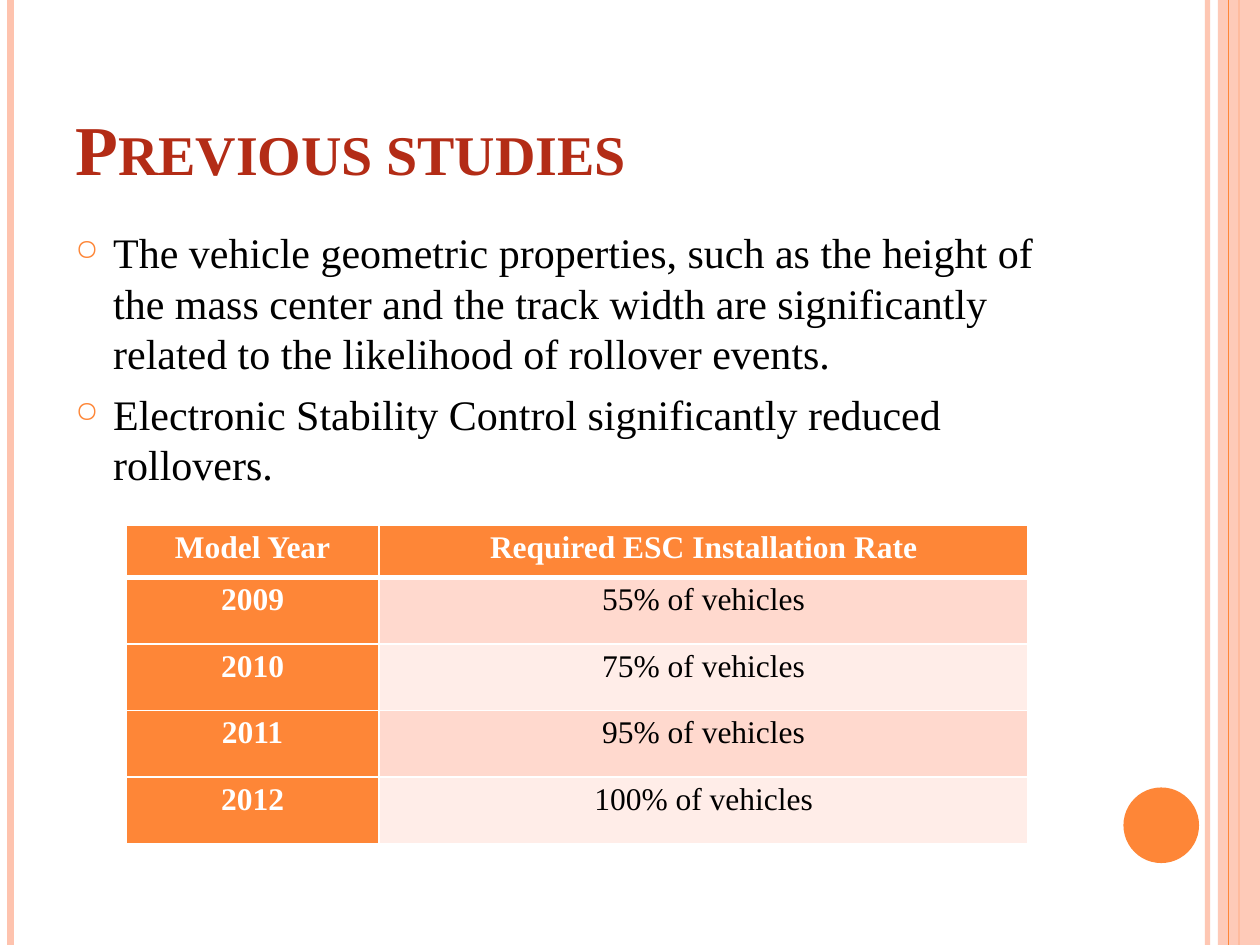
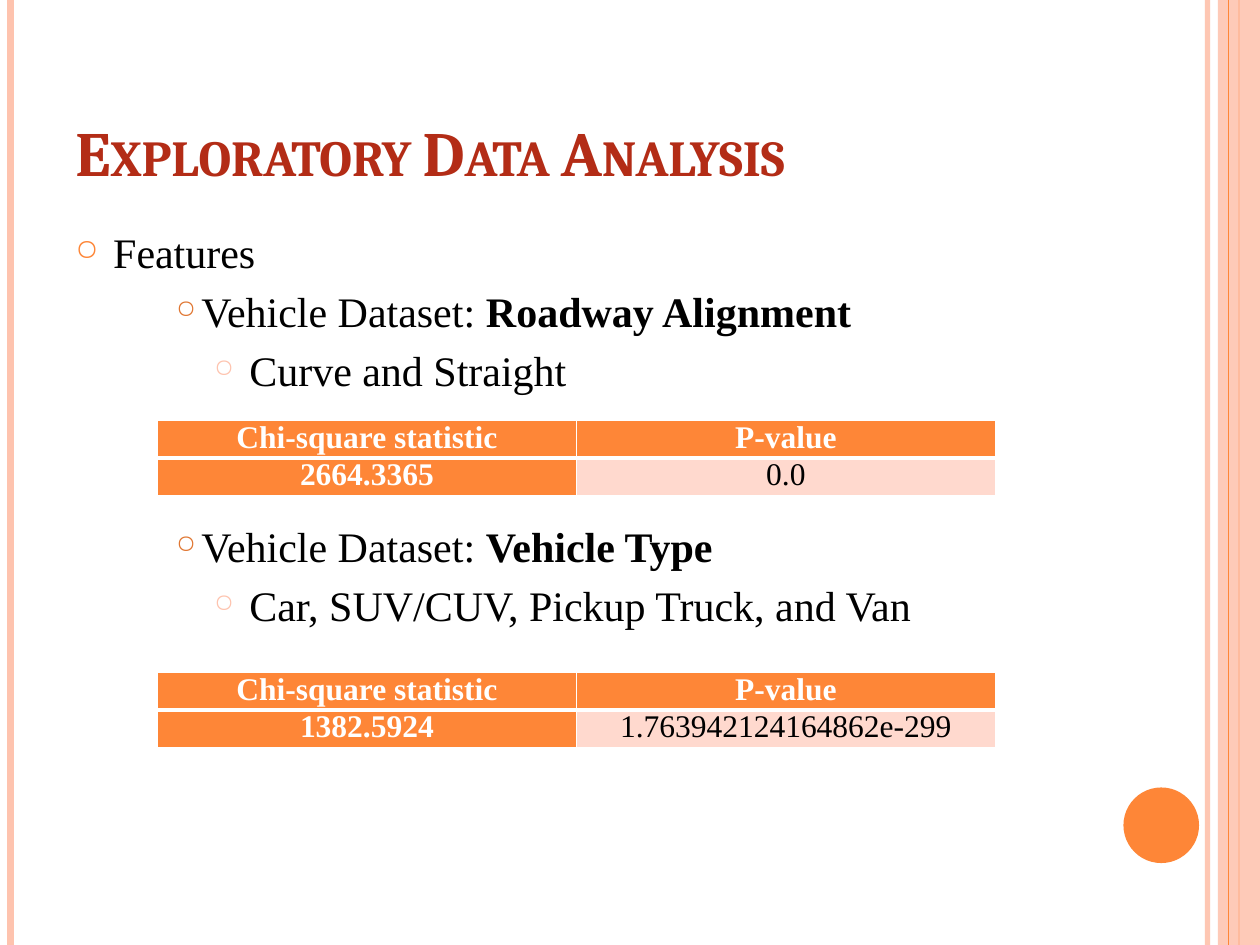
from dataclasses import dataclass

from lxml import etree
from pptx import Presentation
from pptx import util as u
from pptx.dml.color import RGBColor
from pptx.enum import shapes, text
from pptx.oxml import ns

# Shared look
ORANGE, PEACH, RUST, DEEP_ORANGE = "FE8637", "FEC3AE", "B32C16", "E07631"
WHITE, BLACK = "FFFFFF", "000000"
BANDS = ("FFD9CE", "FFEDE8")
SERIF, CAMBRIA = "Times New Roman", "Cambria"

# Grid: 120 columns by 90 rows, twelve cells to the inch
SLIDE_WIDTH, SLIDE_HEIGHT = u.Inches(10), u.Inches(7.5)
COLUMNS, ROWS = 120, 90
BODY_SIZE = 24
LINE_PITCH = 28.8


@dataclass(frozen=True)
class Stripe:
    column: float
    color: str
    width: float
    opacity: int = 100


@dataclass(frozen=True)
class Level:
    indent: float
    hanging: float
    space_before: float
    bullet_color: str
    bullet_size: int


@dataclass(frozen=True)
class Point:
    level: int
    words: str
    strong: str = ""
    gap: float = 0


@dataclass(frozen=True)
class Grid:
    column: float
    row: float
    widths: tuple[float, ...]
    heights: tuple[float, ...]
    cells: tuple[tuple[str, ...], ...]
    line_spacing: float = 1.0


@dataclass(frozen=True)
class Page:
    title: str
    title_font: str
    title_size: int
    points: tuple[Point, ...]
    tables: tuple[Grid, ...]


LEFT_STRIPES = (Stripe(115, PEACH, 3, 93), Stripe(1, PEACH, 4.5), Stripe(118, ORANGE, 1.5))
TOP_STRIPE = Stripe(117, ORANGE, 0.75)
LEVELS = (
    Level(0.3, 0.3, 6, ORANGE, 70),
    Level(1, 0.2, 4.8, DEEP_ORANGE, 60),
    Level(1.38, 0.28, 4.8, PEACH, 60),
)
# Room for a table between two points: two lines of level three
TABLE_GAP = 2 * (LINE_PITCH + LEVELS[2].space_before)


def chi_square_table(row: float, statistic: str, p_value: str) -> Grid:
    return Grid(15, row, (39.9, 39.9), (3.36, 3.36),
                (("Chi-square statistic", "P-value"), (statistic, p_value)))


PAGES = (
    Page(
        "Previous studies", SERIF, 40,
        (
            Point(0, "The vehicle geometric properties, such as the height of the mass center "
                     "and the track width are significantly related to the likelihood of "
                     "rollover events."),
            Point(0, "Electronic Stability Control significantly reduced rollovers."),
        ),
        (
            Grid(12, 50, (24.12, 61.8), (5,) + (6.34,) * 4,
                 (("Model Year", "Required ESC Installation Rate"),
                  ("2009", "55% of vehicles"),
                  ("2010", "75% of vehicles"),
                  ("2011", "95% of vehicles"),
                  ("2012", "100% of vehicles")), 1.15),
        ),
    ),
    Page(
        "Exploratory Data Analysis", CAMBRIA, 36,
        (
            Point(0, "Features"),
            Point(1, "Vehicle Dataset: ", "Roadway Alignment"),
            Point(2, "Curve and Straight"),
            Point(1, "Vehicle Dataset: ", "Vehicle Type", TABLE_GAP),
            Point(2, "Car, SUV/CUV, Pickup Truck, and Van"),
        ),
        (
            chi_square_table(40, "2664.3365", "0.0"),
            chi_square_table(64, "1382.5924", "1.763942124164862e-299"),
        ),
    ),
)


# Helpers
def x(columns: float) -> int:
    return round(SLIDE_WIDTH * columns / COLUMNS)


def y(rows: float) -> int:
    return round(SLIDE_HEIGHT * rows / ROWS)


def rgb(color: str) -> RGBColor:
    return RGBColor.from_string(color)


def add_xml(parent, tag: str, **attributes):
    return etree.SubElement(parent, ns.qn(tag), attributes)


def set_opacity(part, percent: int) -> None:
    if percent < 100:
        for color in part._element.spPr.iter(ns.qn("a:srgbClr")):
            add_xml(color, "a:alpha", val=str(percent * 1000))


def set_font(paragraph, name: str, size: float, color: str, bold: bool = False) -> None:
    font = paragraph.font
    font.name, font.size, font.bold = name, u.Pt(size), bold
    font.color.rgb = rgb(color)


# Decoration
def draw_stripe(slide, stripe: Stripe) -> None:
    line = slide.shapes.add_connector(
        shapes.MSO_CONNECTOR.STRAIGHT, x(stripe.column), 0, x(stripe.column), SLIDE_HEIGHT)
    line.line.color.rgb = rgb(stripe.color)
    line.line.width = u.Pt(stripe.width)
    set_opacity(line, stripe.opacity)
    add_xml(line._element.spPr, "a:effectLst")


def draw_solid(slide, kind, box: tuple[float, ...], color: str, opacity: int = 100) -> None:
    column, row, width, height = box
    solid = slide.shapes.add_shape(kind, x(column), y(row), x(width), y(height))
    solid.shadow.inherit = False
    solid.fill.solid()
    solid.fill.fore_color.rgb = rgb(color)
    solid.line.fill.background()
    set_opacity(solid, opacity)


def draw_decoration(slide) -> None:
    for stripe in LEFT_STRIPES:
        draw_stripe(slide, stripe)
    draw_solid(slide, shapes.MSO_SHAPE.RECTANGLE, (116, 0, 4, ROWS), PEACH, 87)
    draw_stripe(slide, TOP_STRIPE)
    draw_solid(slide, shapes.MSO_SHAPE.OVAL, (107, 75, 7.2, 7.2), ORANGE)


# Title and bulleted points
def add_frame(slide, row: float, height: float):
    frame = slide.shapes.add_textbox(x(6), y(row), x(98), y(height)).text_frame
    frame.word_wrap = True
    return frame


def draw_title(slide, page: Page) -> None:
    frame = add_frame(slide, 3.6, 15)
    frame.vertical_anchor = text.MSO_ANCHOR.BOTTOM
    heading = frame.paragraphs[0]
    run = heading.add_run()
    run.text = page.title
    run._r.get_or_add_rPr().set("cap", "small")
    set_font(heading, page.title_font, page.title_size, RUST, True)


def set_bullet(paragraph, level: Level) -> None:
    properties = paragraph._p.get_or_add_pPr()
    properties.set("marL", str(u.Inches(level.indent)))
    properties.set("indent", str(-u.Inches(level.hanging)))
    add_xml(add_xml(properties, "a:buClr"), "a:srgbClr", val=level.bullet_color)
    add_xml(properties, "a:buSzPct", val=str(level.bullet_size * 1000))
    add_xml(properties, "a:buChar", char="○")


def draw_points(slide, points: tuple[Point, ...]) -> None:
    frame = add_frame(slide, 21, 64)
    for index, point in enumerate(points):
        paragraph = frame.add_paragraph() if index else frame.paragraphs[0]
        level = LEVELS[point.level]
        paragraph.level = point.level
        paragraph.line_spacing = u.Pt(LINE_PITCH)
        paragraph.space_before = u.Pt(level.space_before + point.gap)
        set_bullet(paragraph, level)
        set_font(paragraph, SERIF, BODY_SIZE, BLACK)
        paragraph.add_run().text = point.words
        if point.strong:
            strong = paragraph.add_run()
            strong.text = point.strong
            strong.font.bold = True


# Tables
def set_borders(cell, header: bool) -> None:
    properties = cell._tc.get_or_add_tcPr()
    widths = {"L": 1, "R": 1, "T": 1, "B": 3 if header else 1}
    for position, (side, width) in enumerate(widths.items()):
        border = etree.Element(ns.qn(f"a:ln{side}"), w=str(u.Pt(width)))
        add_xml(add_xml(border, "a:solidFill"), "a:srgbClr", val=WHITE)
        properties.insert(position, border)


def draw_table(slide, grid: Grid) -> None:
    table = slide.shapes.add_table(
        len(grid.heights), len(grid.widths), x(grid.column), y(grid.row),
        x(sum(grid.widths)), y(sum(grid.heights))).table
    for column, width in zip(table.columns, grid.widths):
        column.width = x(width)
    for row, height in zip(table.rows, grid.heights):
        row.height = y(height)
    for r, values in enumerate(grid.cells):
        for c, value in enumerate(values):
            cell = table.cell(r, c)
            label = r == 0 or c == 0
            cell.margin_left = cell.margin_right = u.Inches(0.07)
            cell.margin_top = cell.margin_bottom = 0
            cell.fill.solid()
            cell.fill.fore_color.rgb = rgb(ORANGE if label else BANDS[(r - 1) % 2])
            set_borders(cell, r == 0)
            cell.text = value
            paragraph = cell.text_frame.paragraphs[0]
            paragraph.alignment = text.PP_ALIGN.CENTER
            paragraph.line_spacing = grid.line_spacing
            set_font(paragraph, SERIF, 18, WHITE if label else BLACK, label)


def main() -> None:
    deck = Presentation()
    deck.slide_width, deck.slide_height = SLIDE_WIDTH, SLIDE_HEIGHT
    for page in PAGES:
        slide = deck.slides.add_slide(deck.slide_layouts[6])
        draw_decoration(slide)
        draw_title(slide, page)
        draw_points(slide, page.points)
        for grid in page.tables:
            draw_table(slide, grid)
    deck.save("out.pptx")


if __name__ == "__main__":
    main()
